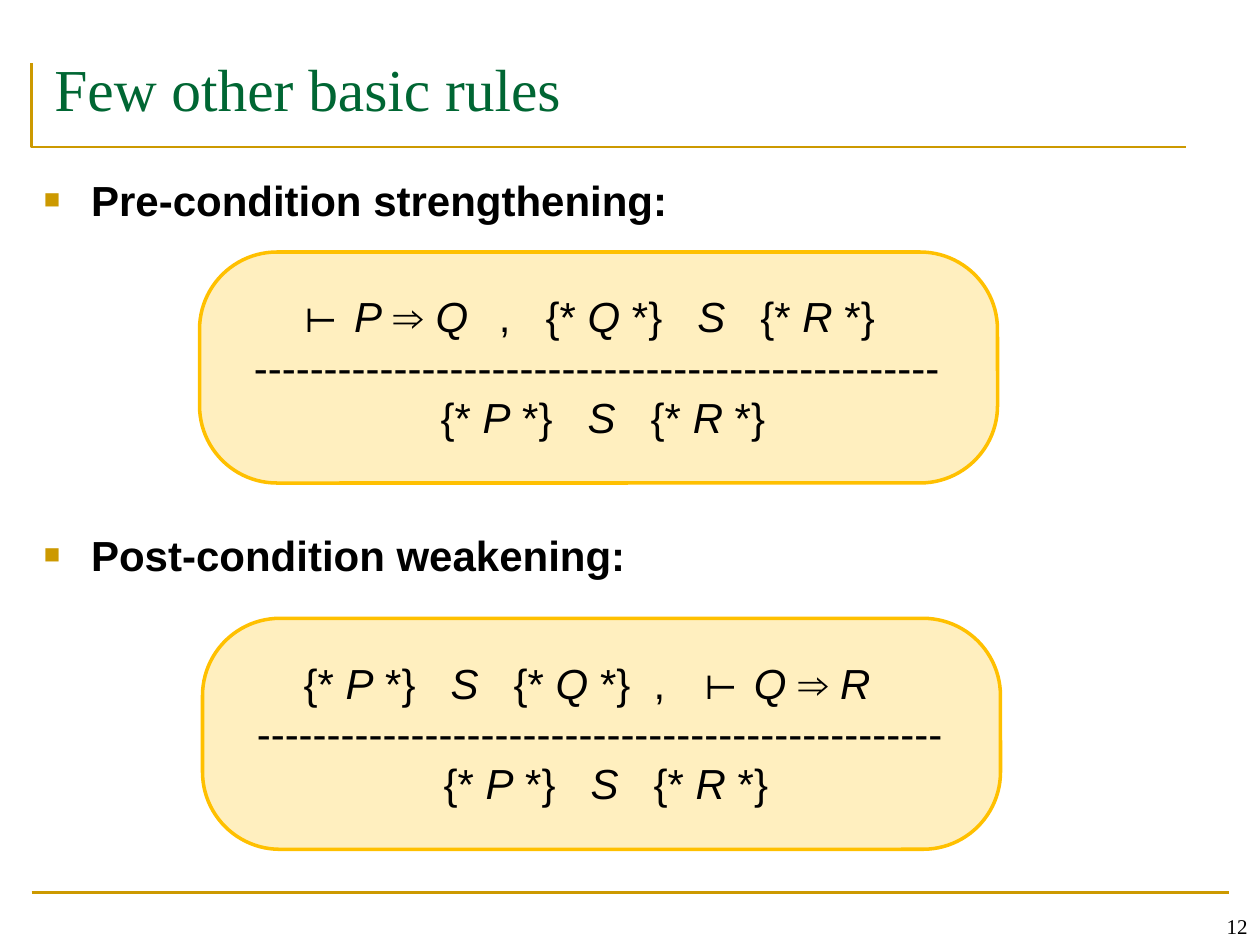
import dataclasses
import itertools

import pptx
import pptx.dml.color
import pptx.enum.shapes
import pptx.enum.text
import pptx.oxml
import pptx.oxml.ns
import pptx.util

Pt = pptx.util.Pt
Anchor = pptx.enum.text.MSO_ANCHOR
Align = pptx.enum.text.PP_ALIGN


@dataclasses.dataclass(frozen=True)
class Theme:
    """Colours, fonts and type sizes of the deck."""
    title: str = "006633"
    ink: str = "000000"
    rule: str = "CC9900"
    panel: str = "FFC000"
    serif: str = "Times New Roman"
    sans: str = "Arial"
    title_size: int = 34
    body_size: int = 24
    number_size: int = 12


THEME = Theme()


def colour(value):
    """Turn a hex string into a colour."""
    return pptx.dml.color.RGBColor.from_string(value)


def add_element(parent, tag, **attributes):
    """Append a drawing element with its attributes."""
    child = pptx.oxml.parse_xml(f"<a:{tag} {pptx.oxml.ns.nsdecls('a')}/>")
    for name, value in attributes.items():
        child.set(name, str(value))
    parent.append(child)
    return child


def add_box(page, left, top, width, height, anchor=Anchor.TOP):
    """Add a wrapping text box and return its text frame."""
    box = page.shapes.add_textbox(Pt(left), Pt(top), Pt(width), Pt(height))
    frame = box.text_frame
    frame.word_wrap = True
    frame.vertical_anchor = anchor
    return frame


def add_para(frame, first):
    """Return the first paragraph or a new one."""
    return frame.paragraphs[0] if first else frame.add_paragraph()


def add_span(para, text, size, font, ink, bold=False, italic=False):
    """Add one formatted run."""
    span = para.add_run()
    span.text = text
    span.font.size = Pt(size)
    span.font.name = font
    span.font.bold = bold
    span.font.italic = italic
    span.font.color.rgb = colour(ink)


def style_line(line, ink, width):
    """Set the colour and width of a line."""
    line.color.rgb = colour(ink)
    line.width = Pt(width)


def add_rules(page):
    """Draw the title corner and the footer line."""
    builder = page.shapes.build_freeform(Pt(18), Pt(36))
    builder.add_line_segments([(Pt(18), Pt(84)), (Pt(678), Pt(84))], close=False)
    corner = builder.convert_to_shape()
    corner.shadow.inherit = False
    corner.fill.background()
    style_line(corner.line, THEME.rule, 1.5)
    footer = page.shapes.add_connector(
        pptx.enum.shapes.MSO_CONNECTOR.STRAIGHT, Pt(18), Pt(510), Pt(702), Pt(510))
    style_line(footer.line, THEME.rule, 1.5)
    add_element(footer._element.spPr, "effectLst")


def add_bullets(page, items):
    """Write the bold headings with square bullets."""
    frame = add_box(page, 18, 96, 684, 408)
    for index, text in enumerate(items):
        para = add_para(frame, index == 0)
        properties = para._p.get_or_add_pPr()
        properties.set("marL", str(Pt(27)))
        properties.set("indent", str(-Pt(27)))
        add_element(add_element(properties, "buClr"), "srgbClr", val=THEME.rule)
        add_element(properties, "buSzPct", val=65000)
        add_element(properties, "buFont", typeface=THEME.sans)
        add_element(properties, "buChar", char="■")
        para.space_before = Pt(174 if index else 0)
        add_span(para, text, THEME.body_size, THEME.sans, THEME.ink, bold=True)


def add_formula(para, text, stops):
    """Write a formula on tab stops with its letters in italics."""
    if stops:
        tabs = add_element(para._p.get_or_add_pPr(), "tabLst")
        for stop in stops:
            add_element(tabs, "tab", pos=Pt(stop), algn="l")
    for italic, letters in itertools.groupby(text, str.isalpha):
        add_span(para, "".join(letters), THEME.body_size, THEME.sans, THEME.ink,
                 italic=italic)


def add_inference(page, left, top, premise, stops):
    """Draw a panel holding a premise, a dashed rule and the conclusion."""
    panel = page.shapes.add_shape(
        pptx.enum.shapes.MSO_SHAPE.ROUNDED_RECTANGLE,
        Pt(left), Pt(top), Pt(456), Pt(132))
    panel.adjustments[0] = 0.335
    panel.shadow.inherit = False
    panel.fill.solid()
    panel.fill.fore_color.rgb = colour(THEME.panel)
    tint = panel._element.spPr.find(".//" + pptx.oxml.ns.qn("a:srgbClr"))
    add_element(tint, "alpha", val=25000)
    style_line(panel.line, THEME.panel, 2)
    frame = add_box(page, left + 24, top + 18.7, 424, 94.5)
    rows = [(premise, stops), ("-" * 49, []),
            ("\t{* P *}\tS\t{* R *}", [106.7, 190.8, 226.8])]
    for index, (text, row_stops) in enumerate(rows):
        add_formula(add_para(frame, index == 0), text, row_stops)


def main():
    """Build the slide and save it."""
    deck = pptx.Presentation()
    deck.slide_width, deck.slide_height = Pt(720), Pt(540)
    page = deck.slides.add_slide(deck.slide_layouts[6])
    add_rules(page)
    title = add_box(page, 24, 21.6, 672, 62)
    title.margin_top = Pt(8)
    add_span(title.paragraphs[0], "Few other basic rules",
             THEME.title_size, THEME.serif, THEME.title)
    add_bullets(page, ["Pre-condition strengthening:", "Post-condition weakening:"])
    number = add_box(page, 552, 504, 168, 36, Anchor.BOTTOM)
    number.paragraphs[0].alignment = Align.RIGHT
    add_span(number.paragraphs[0], "12", THEME.number_size, THEME.serif, THEME.ink)
    add_inference(page, 114, 144, "\t⊢ P ⇒ Q\t,\t{* Q *}\tS\t{* R *}",
                  [26.7, 140, 166.7, 253.5, 289.5])
    add_inference(page, 115.7, 353.3, "\t{* P *}\tS\t{* Q *}\t,\t⊢ Q ⇒ R",
                  [26.7, 110.8, 146.8, 226.8, 253.5])
    deck.save("out.pptx")


if __name__ == "__main__":
    main()
